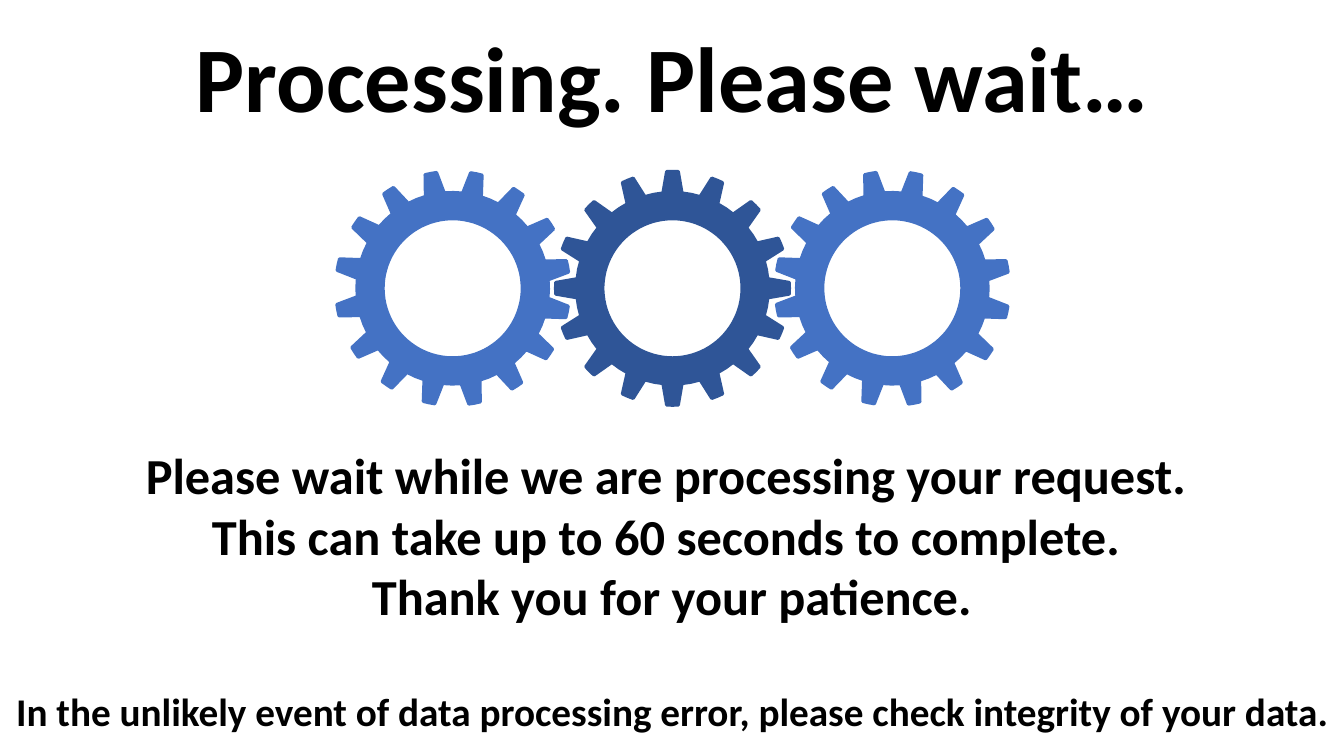
from math import cos, pi, sin

from lxml import etree
from pptx import Presentation
from pptx.dml.color import RGBColor
from pptx.enum import text
from pptx.util import Inches, Pt

BLACK = RGBColor(0x00, 0x00, 0x00)
WHITE = RGBColor(0xFF, 0xFF, 0xFF)
BLUE = RGBColor(0x44, 0x72, 0xC4)
DARK_BLUE = RGBColor(0x2F, 0x55, 0x97)

TEETH = 16
TIP, ROOT, HOLE = 1.16, 0.95, 0.69  # gear radii in inches
GEAR_Y = 2.86

deck = Presentation()
deck.slide_width, deck.slide_height = Inches(13.33), Inches(7.5)
slide = deck.slides.add_slide(deck.slide_layouts[1])
slide.background.fill.solid()
slide.background.fill.fore_color.rgb = WHITE


def ring_point(center_x, radius, angle):
    """Point at an angle clockwise from the top of a gear."""
    return (Inches(center_x + radius * sin(angle)),
            Inches(GEAR_Y - radius * cos(angle)))


def write_paragraph(paragraph, words, size):
    paragraph.text = words
    paragraph.alignment = text.PP_ALIGN.CENTER
    paragraph.space_before = Pt(0)
    paragraph.font.name = "Calibri"
    paragraph.font.size = Pt(size)
    paragraph.font.bold = True
    paragraph.font.color.rgb = BLACK


# Heading
heading = slide.shapes.title
heading.left, heading.top = Inches(0.26), Inches(0.14)
heading.width, heading.height = Inches(12.82), Inches(1.21)
heading.text_frame.auto_size = text.MSO_AUTO_SIZE.NONE
write_paragraph(heading.text_frame.paragraphs[0], "Processing. Please wait…", 66)

# Message: three large lines and a smaller notice
message = slide.placeholders[1]
message.left, message.top = Inches(0), Inches(4.36)
message.width, message.height = Inches(13.33), Inches(3)
message.text_frame.auto_size = text.MSO_AUTO_SIZE.NONE
lines = [
    ("Please wait while we are processing your request. ", 36),
    ("This can take up to 60 seconds to complete. ", 36),
    ("Thank you for your patience.", 36),
    ("In the unlikely event of data processing error, "
     "please check integrity of your data.", 28),
]
for index, (words, size) in enumerate(lines):
    line = (message.text_frame.add_paragraph() if index
            else message.text_frame.paragraphs[0])
    write_paragraph(line, words, size)
    properties = line._p.get_or_add_pPr()
    properties.set("marL", "0")
    properties.set("indent", "0")
    etree.SubElement(
        properties, "{http://schemas.openxmlformats.org/drawingml/2006/main}buNone")
    # Keep the bullet setting ahead of the default run properties
    properties.insert(len(properties) - 2, properties[-1])
line.space_before = Pt(44)

# Gears: the outer two are turned so that their teeth mesh with the middle one
for center_x, color, turn in [(6.67, DARK_BLUE, 0), (8.85, BLUE, 349.2),
                              (4.49, BLUE, 349.2)]:
    outline = []
    for tooth in range(TEETH):
        middle = 2 * pi * tooth / TEETH
        for radius, offset in [(ROOT, -0.1), (TIP, -0.05), (TIP, 0),
                               (TIP, 0.05), (ROOT, 0.1), (ROOT, pi / TEETH)]:
            outline.append(ring_point(center_x, radius, middle + offset))
    hole = [ring_point(center_x, HOLE, -2 * pi * step / 90) for step in range(90)]

    builder = slide.shapes.build_freeform(*outline[0])
    builder.add_line_segments(outline[1:], close=True)
    builder.move_to(*hole[0])
    builder.add_line_segments(hole[1:], close=True)
    gear = builder.convert_to_shape()
    gear.rotation = turn
    gear.shadow.inherit = False
    gear.fill.solid()
    gear.fill.fore_color.rgb = color
    gear.line.color.rgb = color
    gear.line.width = Pt(2.25)

deck.save("out.pptx")
